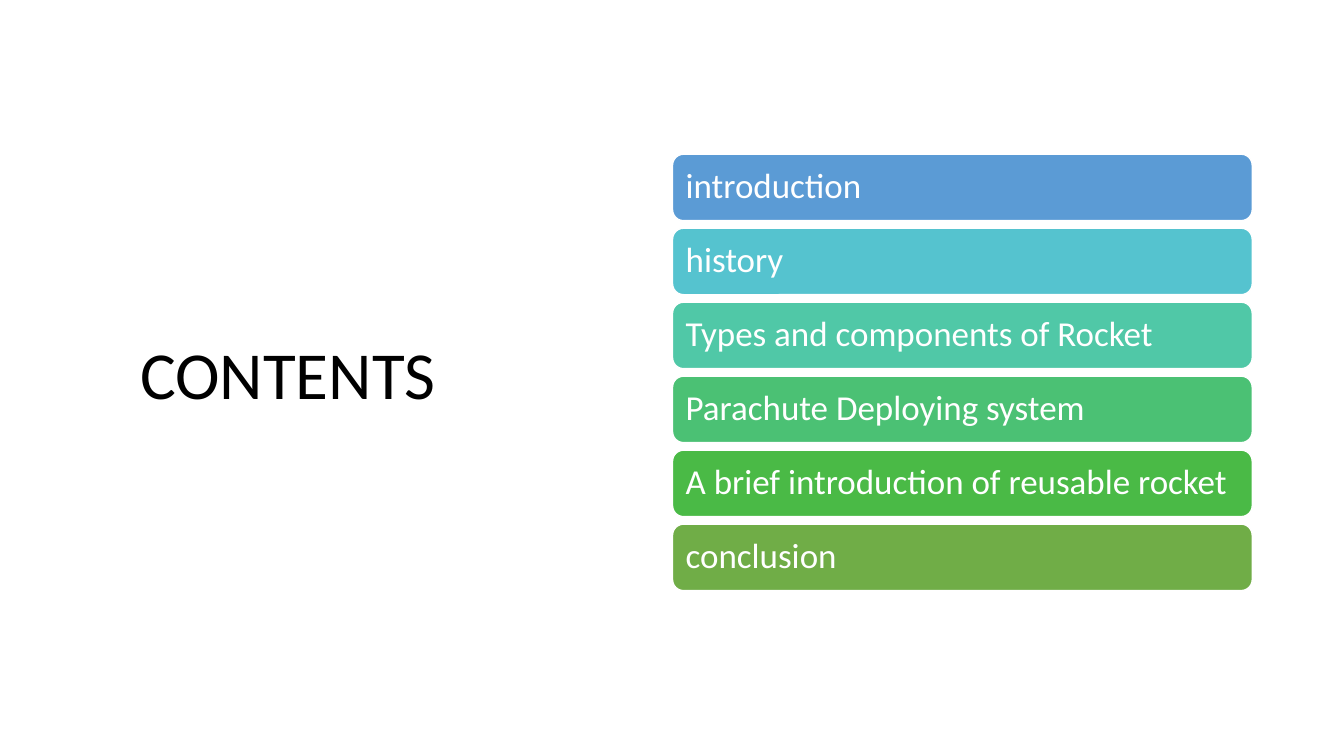
from pptx import Presentation
from pptx.dml.color import RGBColor as RGB
from pptx.enum.shapes import MSO_SHAPE as Kind
from pptx.enum.text import MSO_ANCHOR as Anchor, PP_ALIGN as Align
from pptx.util import Inches, Pt

COLORS = {
    "text": "000000",
    "white": "FFFFFF",
    "blue": "5B9BD5",
    "cyan": "55C3CF",
    "teal": "50C8A7",
    "mint": "4BC174",
    "green": "4ABA46",
    "olive": "70AD47",
}
TOPICS = [
    ("introduction", "blue"),
    ("history", "cyan"),
    ("Types and components of Rocket", "teal"),
    ("Parachute Deploying system", "mint"),
    ("A brief introduction of reusable rocket", "green"),
    ("conclusion", "olive"),
]
LEFT, TOP, WIDTH, HEIGHT = 6.67, 1.53, 5.75, 0.66
LAST = 5.2
STEP = (LAST - TOP) / (len(TOPICS) - 1)


class Page:
    font = "Calibri"
    inset = Inches(0.1)

    def __init__(self, deck):
        self.slide = deck.slides.add_slide(deck.slide_layouts[5])

    def color(self, name):
        return RGB.from_string(COLORS[name])

    def label(self, shape, text, size, color):
        frame = shape.text_frame
        frame.text = text
        frame.word_wrap = True
        frame.vertical_anchor = Anchor.MIDDLE
        frame.margin_left = frame.margin_right = self.inset
        para = frame.paragraphs[0]
        para.alignment = Align.LEFT
        para.line_spacing = 0.9
        para.font.name = self.font
        para.font.size = Pt(size)
        para.font.color.rgb = self.color(color)

    def title(self, text, left, top, width, height):
        shape = self.slide.shapes.title
        shape.left, shape.top = Inches(left), Inches(top)
        shape.width, shape.height = Inches(width), Inches(height)
        self.label(shape, text, 48, "text")

    def bar(self, text, fill, top):
        shape = self.slide.shapes.add_shape(
            Kind.ROUNDED_RECTANGLE,
            Inches(LEFT), Inches(top), Inches(WIDTH), Inches(HEIGHT),
        )
        shape.shadow.inherit = False
        shape.fill.solid()
        shape.fill.fore_color.rgb = self.color(fill)
        shape.line.color.rgb = self.color("white")
        shape.line.width = Pt(1)
        self.label(shape, text, 25, "white")


def main():
    deck = Presentation()
    deck.slide_width, deck.slide_height = Inches(13.33), Inches(7.5)
    page = Page(deck)
    page.title("CONTENTS", 1.29, 0.74, 4.38, 6.02)
    for row, (text, fill) in enumerate(TOPICS):
        page.bar(text, fill, TOP + row * STEP)
    deck.save("out.pptx")


if __name__ == "__main__":
    main()
